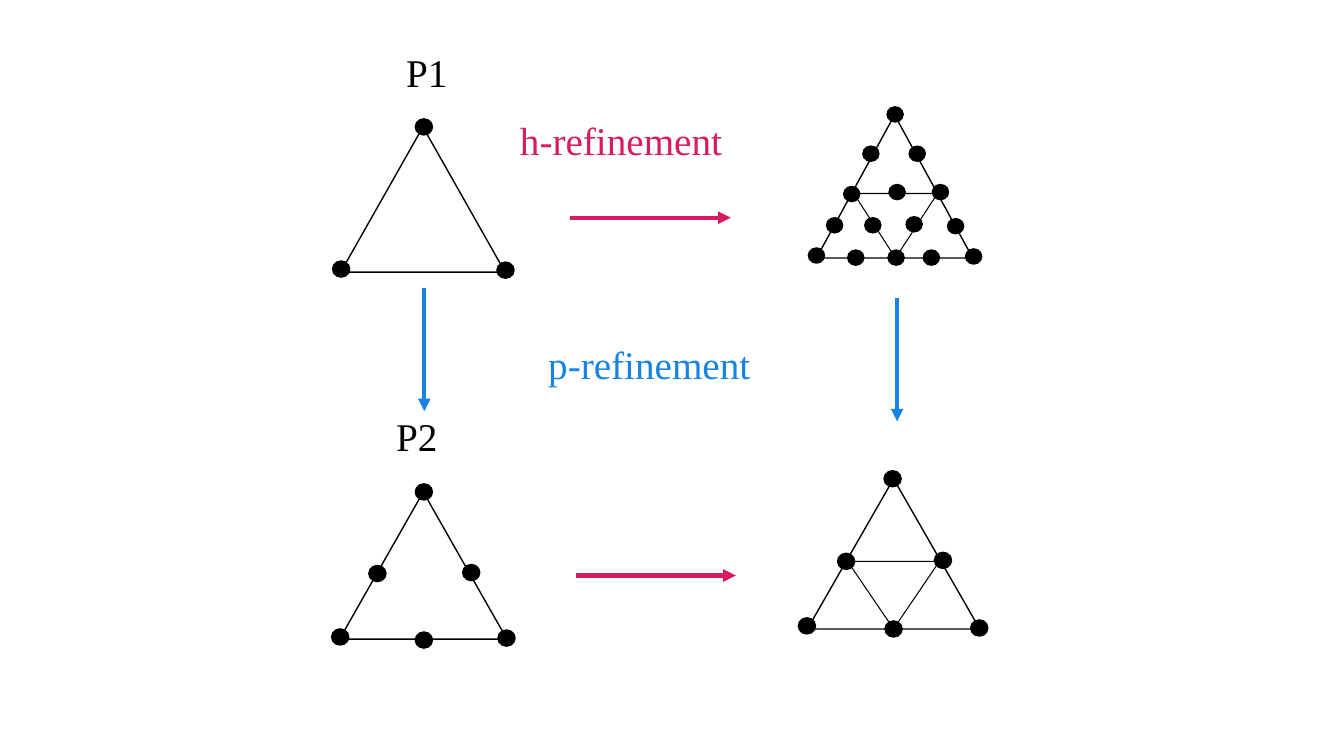
"""Draw the h- and p-refinement diagram of triangular P1 and P2 elements."""
from dataclasses import dataclass

from lxml import etree
from pptx import Presentation
from pptx.dml.color import RGBColor
from pptx.enum.shapes import MSO_CONNECTOR, MSO_SHAPE
from pptx.enum.text import MSO_AUTO_SIZE
from pptx.oxml.ns import qn
from pptx.shapes.autoshape import Shape
from pptx.shapes.group import GroupShape
from pptx.shapes.shapetree import SlideShapes
from pptx.util import Pt

TRIANGLE = MSO_SHAPE.ISOSCELES_TRIANGLE
OVAL = MSO_SHAPE.OVAL
STRAIGHT = MSO_CONNECTOR.STRAIGHT
FIT_SHAPE = MSO_AUTO_SIZE.SHAPE_TO_FIT_TEXT

Box = tuple[float, float, float, float]
Point = tuple[float, float]


@dataclass(frozen=True)
class Theme:
    ink: RGBColor = RGBColor(0, 0, 0)
    h_color: RGBColor = RGBColor(0xD8, 0x1B, 0x60)
    p_color: RGBColor = RGBColor(0x17, 0x84, 0xE4)
    font: str = "Times New Roman"
    label_size: float = 28
    edge: float = 1
    inner_edge: float = 0.75
    arrow: float = 3


@dataclass(frozen=True)
class Label:
    text: str
    box: Box
    color: RGBColor
    wrap: bool = False


@dataclass(frozen=True)
class Arrow:
    start: Point
    end: Point
    color: RGBColor


@dataclass(frozen=True)
class Element:
    outer: Box
    node_size: Point
    nodes: tuple[Point, ...]
    inner: Box | None = None


THEME = Theme()
LARGE_NODE = (12.24, 11.52)
SMALL_NODE = (11.52, 10.8)

LABELS = (
    Label("P2", (275.8, 290.9, 49, 46.8), THEME.ink),
    Label("P1", (283, 31, 44.6, 42.5), THEME.ink),
    Label("p-refinement", (384.5, 239.8, 159.1, 30.2), THEME.p_color),
    Label("h-refinement", (364.3, 79.2, 193.7, 47.5), THEME.h_color, wrap=True),
)
ARROWS = (
    Arrow((407.5, 155.5), (522, 155.5), THEME.h_color),
    Arrow((411.1, 411.1), (525.6, 411.1), THEME.h_color),
    Arrow((303.1, 205.9), (303.1, 293.8), THEME.p_color),
    Arrow((640.8, 213.1), (640.8, 301), THEME.p_color),
)
ELEMENTS = (
    Element((243.4, 90.7, 117.4, 103.7), LARGE_NODE,
            ((243.7, 192.2), (302.8, 90.7), (361.1, 193))),
    Element((242.6, 351.4, 119.5, 105.1), LARGE_NODE,
            ((243, 455), (302.8, 351.4), (361.8, 455.8),
             (269.6, 409.7), (336.6, 409), (302.8, 457.2))),
    Element((576.7, 342, 123.1, 107.3), LARGE_NODE,
            ((576.4, 447.1), (637.6, 342), (699.5, 448.6),
             (604.4, 401), (673.6, 400.3), (638.3, 449.3)),
            inner=(605.5, 401, 65.5, 48.2)),
    Element((583.2, 82.1, 111.6, 102.2), SMALL_NODE,
            ((583.2, 182.5), (639.4, 81.7), (695.5, 183.2),
             (608.4, 138.6), (671.8, 137.2), (640.1, 184),
             (622.1, 109.8), (655.2, 109.8), (596.2, 160.9),
             (682.6, 161.6), (665.3, 184), (611.3, 184),
             (640.8, 137.2), (653, 160.2), (623.5, 160.9)),
            inner=(609.8, 138.2, 59.8, 46.1)),
)


def add_outlined(group: GroupShape, kind: MSO_SHAPE, box: Box, width: float) -> Shape:
    """Add an unfilled shape with an ink outline."""
    sp = group.shapes.add_shape(kind, *map(Pt, box))
    sp.shadow.inherit = False
    sp.fill.background()
    sp.line.color.rgb = THEME.ink
    sp.line.width = Pt(width)
    return sp


def add_element(shapes: SlideShapes, element: Element) -> None:
    """Group an element's triangles and nodes."""
    group = shapes.add_group_shape()
    add_outlined(group, TRIANGLE, element.outer, THEME.edge)
    if element.inner:
        sp = add_outlined(group, TRIANGLE, element.inner, THEME.inner_edge)
        sp.rotation = 180
    w, h = element.node_size
    for x, y in element.nodes:
        sp = add_outlined(group, OVAL, (x - w / 2, y - h / 2, w, h), THEME.edge)
        sp.fill.solid()
        sp.fill.fore_color.rgb = THEME.ink


def add_arrow(shapes: SlideShapes, arrow: Arrow) -> None:
    """Add a straight arrow with a triangular head."""
    line = shapes.add_connector(STRAIGHT, *map(Pt, arrow.start + arrow.end))
    line.line.color.rgb = arrow.color
    line.line.width = Pt(THEME.arrow)
    etree.SubElement(line.line._get_or_add_ln(), qn("a:tailEnd"), type="triangle")
    etree.SubElement(line._element.spPr, qn("a:effectLst"))


def add_label(shapes: SlideShapes, label: Label) -> None:
    """Add a one-line text label."""
    tf = shapes.add_textbox(*map(Pt, label.box)).text_frame
    tf.word_wrap = label.wrap
    tf.auto_size = FIT_SHAPE
    r = tf.paragraphs[0].add_run()
    r.text = label.text
    for name, value in {"name": THEME.font, "size": Pt(THEME.label_size)}.items():
        setattr(r.font, name, value)
    r.font.color.rgb = label.color


def main() -> None:
    """Build and save the slide."""
    prs = Presentation()
    prs.slide_width, prs.slide_height = Pt(960), Pt(540)
    s = prs.slides.add_slide(prs.slide_layouts[6])
    for element in ELEMENTS:
        add_element(s.shapes, element)
    for arrow in ARROWS:
        add_arrow(s.shapes, arrow)
    for label in LABELS:
        add_label(s.shapes, label)
    prs.save("out.pptx")


if __name__ == "__main__":
    main()
